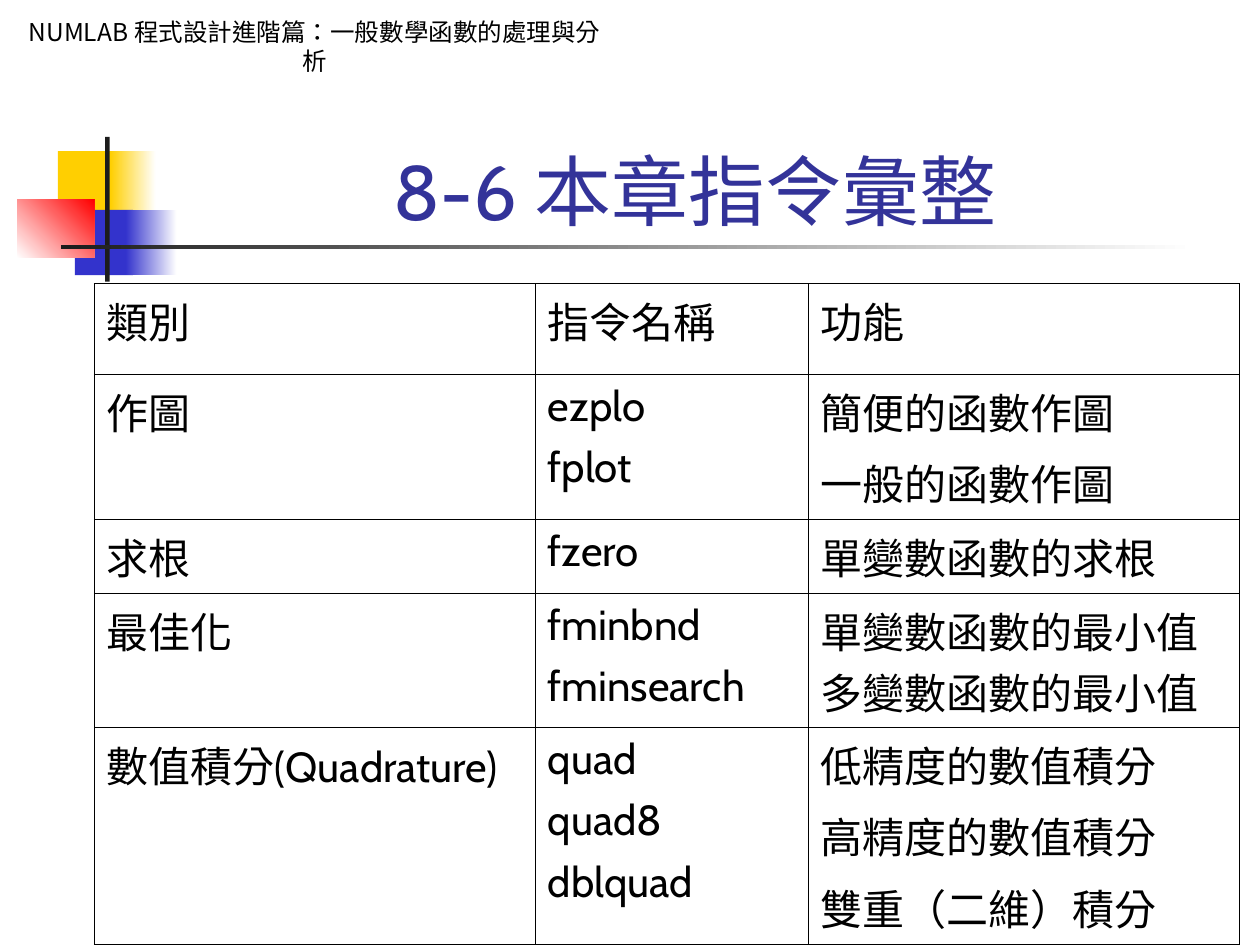
from dataclasses import dataclass
from typing import Optional

from lxml import etree
from pptx import Presentation
from pptx.dml.color import RGBColor
from pptx.enum.shapes import MSO_SHAPE
from pptx.enum.text import MSO_ANCHOR, MSO_AUTO_SIZE, PP_ALIGN
from pptx.oxml.ns import qn
from pptx.util import Cm, Pt

RECT = MSO_SHAPE.RECTANGLE
LEFT, CENTER = PP_ALIGN.LEFT, PP_ALIGN.CENTER
TOP, BOTTOM = MSO_ANCHOR.TOP, MSO_ANCHOR.BOTTOM
GROW = MSO_AUTO_SIZE.SHAPE_TO_FIT_TEXT

WHITE = RGBColor(0xFF, 0xFF, 0xFF)
BLACK = RGBColor(0x00, 0x00, 0x00)
YELLOW = RGBColor(0xFF, 0xCF, 0x01)
BLUE = RGBColor(0x33, 0x33, 0xCC)
RED = RGBColor(0xFF, 0x00, 0x00)
DARK = RGBColor(0x1C, 0x1C, 0x1C)
NAVY = RGBColor(0x33, 0x33, 0x99)

LATIN_FONT, CJK_FONT = "Cabin", "Noto Sans CJK SC"
LANGUAGE = "zh-TW"


@dataclass
class Block:
    """A plain rectangle in cm; with `end` it fades from `start` to `end`."""
    x: float
    y: float
    w: float
    h: float
    start: RGBColor
    end: Optional[RGBColor] = None
    angle: float = 0


BLOCKS = [
    Block(1.17, 3.05, 1.22, 1.32, YELLOW),
    Block(2.23, 3.05, 0.91, 1.32, YELLOW, WHITE),
    Block(1.51, 4.23, 1.17, 1.32, BLUE),
    Block(2.54, 4.23, 1.02, 1.32, BLUE, WHITE),
    Block(0.35, 4.02, 1.55, 1.18, WHITE, RED, 45),
    Block(2.12, 2.76, 0.09, 2.92, DARK),
    Block(1.23, 4.94, 22.86, 0.09, DARK, WHITE),
]
HEADER = Block(0.21, 0.21, 12.27, 1.45, WHITE)

COL_WIDTHS = [8.89, 5.5, 8.69]
ROW_HEIGHTS = [1.83, 2.92, 1.49, 2.7, 4.38]
# Each line of a cell is a paragraph
ROWS = [
    ("類別", "指令名稱", "功能"),
    ("作圖", "ezplo\nfplot", "簡便的函數作圖\n一般的函數作圖"),
    ("求根", "fzero", "單變數函數的求根"),
    ("最佳化", "fminbnd\nfminsearch", "單變數函數的最小值多變數函數的最小值"),
    ("數值積分(Quadrature)", "quad\nquad8\ndblquad",
     "低精度的數值積分\n高精度的數值積分\n雙重（二維）積分"),
]


def add_block(slide, b: Block):
    sp = slide.shapes.add_shape(RECT, Cm(b.x), Cm(b.y), Cm(b.w), Cm(b.h))
    sp.shadow.inherit = False
    sp.line.fill.background()
    if b.end is None:
        sp.fill.solid()
        sp.fill.fore_color.rgb = b.start
    else:
        sp.fill.gradient()
        sp.fill.gradient_angle = b.angle
        for stop, color in zip(sp.fill.gradient_stops, (b.start, b.end)):
            stop.color.rgb = color
    return sp


def write(tf, text: str, *, size: float, color: RGBColor = BLACK,
          font: str = LATIN_FONT, align=LEFT, space: float = 0) -> None:
    tf.word_wrap = True
    for i, line in enumerate(text.split("\n")):
        p = tf.add_paragraph() if i else tf.paragraphs[0]
        p.alignment = align
        if i:
            p.space_before = Pt(space)
        r = p.add_run()
        r.text = line
        r.font.size = Pt(size)
        r.font.name = font
        r.font.color.rgb = color
        r_pr = r.font._element
        r_pr.set("lang", LANGUAGE)
        etree.SubElement(r_pr, qn("a:ea")).set("typeface", CJK_FONT)


def set_borders(cell, color: RGBColor, width: float) -> None:
    tc_pr = cell._tc.get_or_add_tcPr()
    for i, side in enumerate(("lnL", "lnR", "lnT", "lnB")):
        ln = etree.Element(qn(f"a:{side}"), w=str(Pt(width)))
        fill = etree.SubElement(ln, qn("a:solidFill"))
        etree.SubElement(fill, qn("a:srgbClr"), val=str(color))
        tc_pr.insert(i, ln)


def add_command_table(slide, x: float, y: float) -> None:
    table = slide.shapes.add_table(
        len(ROWS), len(COL_WIDTHS), Cm(x), Cm(y),
        Cm(sum(COL_WIDTHS)), Cm(sum(ROW_HEIGHTS))).table
    for col, width in zip(table.columns, COL_WIDTHS):
        col.width = Cm(width)
    for row, height, texts in zip(table.rows, ROW_HEIGHTS, ROWS):
        row.height = Cm(height)
        for cell, text in zip(row.cells, texts):
            cell.fill.background()
            set_borders(cell, BLACK, 0.45)
            write(cell.text_frame, text, size=24, space=6)


def main() -> None:
    prs = Presentation()
    prs.slide_width, prs.slide_height = Cm(25.4), Cm(19.05)
    slide = prs.slides.add_slide(prs.slide_layouts[6])

    # Corner ornament and title rule
    for block in BLOCKS:
        add_block(slide, block)

    # Running header
    tf = add_block(slide, HEADER).text_frame
    tf.vertical_anchor = TOP
    tf.auto_size = GROW
    write(tf, "NUMLAB 程式設計進階篇：一般數學函數的處理與分析",
          size=14, font=CJK_FONT, align=CENTER)

    # Title
    tf = slide.shapes.add_textbox(Cm(3.2), Cm(1.7), Cm(21.64), Cm(3.18)).text_frame
    tf.vertical_anchor = BOTTOM
    write(tf, "8-6 本章指令彙整", size=44, color=NAVY, align=CENTER)

    # Command summary
    add_command_table(slide, 1.9, 5.72)

    prs.save("out.pptx")


if __name__ == "__main__":
    main()
